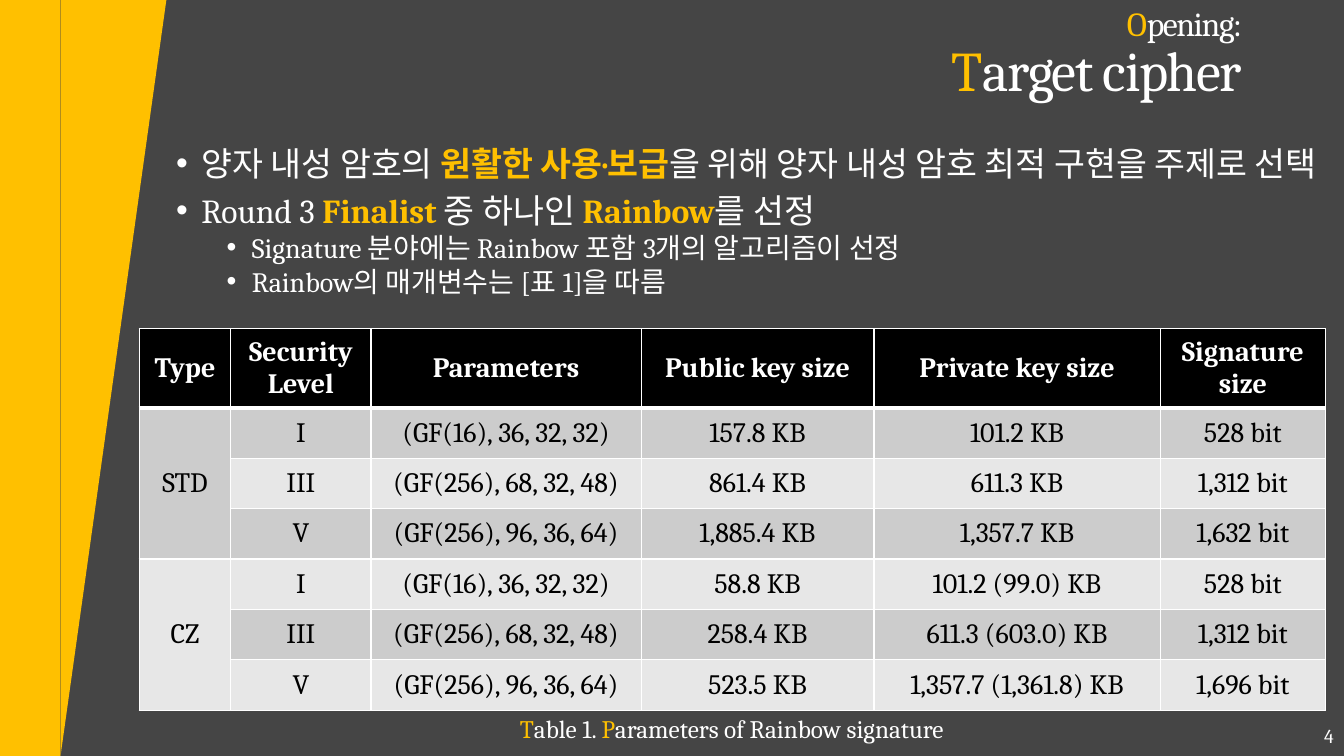
from dataclasses import dataclass

from lxml.etree import SubElement
from pptx import Presentation
from pptx.dml.color import RGBColor
from pptx.enum.shapes import MSO_SHAPE as Preset
from pptx.enum.text import MSO_ANCHOR as Anchor, PP_ALIGN as Align
from pptx.oxml.ns import qn
from pptx.util import Pt


@dataclass(frozen=True)
class Theme:
    """Colours, type sizes and font of the slide."""
    font: str = "Cambria"
    background: str = "454545"
    accent: str = "FFC000"
    light: str = "FFFFFF"
    dark: str = "000000"
    bands: tuple = ("CCCCCC", "E7E7E7")
    title: int = 40
    kicker: int = 24
    bullet: int = 24
    detail: int = 20
    cell: int = 20
    caption: int = 18
    number: int = 14


THEME = Theme()
COLUMNS = (65.5, 100.1, 193, 166.3, 204.5, 118.1)
HEADER_HEIGHT, ROW_HEIGHT = 54.7, 36
HEADINGS = ("Type", "Security Level", "Parameters", "Public key size",
            "Private key size", "Signature size")
LEVELS = (("I", "(GF(16), 36, 32, 32)"),
          ("III", "(GF(256), 68, 32, 48)"),
          ("V", "(GF(256), 96, 36, 64)"))
SIZES = {
    "STD": (("157.8 KB", "101.2 KB", "528 bit"),
            ("861.4 KB", "611.3 KB", "1,312 bit"),
            ("1,885.4 KB", "1,357.7 KB", "1,632 bit")),
    "CZ": (("58.8 KB", "101.2 (99.0) KB", "528 bit"),
           ("258.4 KB", "611.3 (603.0) KB", "1,312 bit"),
           ("523.5 KB", "1,357.7 (1,361.8) KB", "1,696 bit")),
}


def paint(fill, color):
    """Make a fill solid in the given colour."""
    fill.solid()
    fill.fore_color.rgb = RGBColor.from_string(color)


def add_run(paragraph, text, size, color=THEME.light, bold=False, spacing=None):
    """Append one styled run to a paragraph."""
    run = paragraph.add_run()
    run.text = text
    run.font.name = THEME.font
    run.font.size = Pt(size)
    run.font.bold = bold
    run.font.color.rgb = RGBColor.from_string(color)
    if spacing is not None:
        run.font._element.set("spc", str(spacing * 100))


def add_box(slide, left, top, width, height, anchor=Anchor.TOP):
    """Add a wrapping text box and return its text frame."""
    frame = slide.shapes.add_textbox(Pt(left), Pt(top), Pt(width), Pt(height)).text_frame
    frame.word_wrap = True
    frame.vertical_anchor = anchor
    return frame


def add_panel(slide, preset, left, width):
    """Add a full-height accent panel."""
    panel = slide.shapes.add_shape(preset, Pt(left), 0, Pt(width), Pt(540))
    panel.shadow.inherit = False
    paint(panel.fill, THEME.accent)
    panel.line.fill.background()
    return panel


def add_side_band(slide):
    """Add the slanted band along the left edge."""
    add_panel(slide, Preset.RECTANGLE, 0, 43.2)
    slant = add_panel(slide, Preset.RIGHT_TRIANGLE, 43.2, 75.6)
    slant.rotation = 180
    slant._element.spPr.find(qn("a:xfrm")).set("flipH", "1")


def add_title(slide):
    """Add the two-line title with accented initials."""
    title = add_box(slide, 66.2, 0, 828, 79.2, Anchor.MIDDLE).paragraphs[0]
    title.alignment = Align.RIGHT
    title.line_spacing = 0.9
    add_run(title, "O", THEME.kicker, THEME.accent, spacing=-1)
    add_run(title, "pening:", THEME.kicker, spacing=-1)
    title.add_line_break()
    add_run(title, "T", THEME.title, THEME.accent, spacing=-1)
    add_run(title, "arget cipher", THEME.title, spacing=-1)


def add_bullet(paragraph, pieces, level=0):
    """Fill a bulleted paragraph, emphasising every second piece."""
    paragraph.level = level
    paragraph.line_spacing = 0.8
    paragraph.space_before = Pt(5 if level else 10)
    properties = paragraph._p.get_or_add_pPr()
    properties.set("marL", str(Pt(54 if level else 18)))
    properties.set("indent", str(Pt(-18)))
    SubElement(properties, qn("a:buFont")).set("typeface", "Arial")
    SubElement(properties, qn("a:buChar")).set("char", "•")
    size = THEME.detail if level else THEME.bullet
    for index, text in enumerate(pieces):
        strong = index % 2 == 1
        add_run(paragraph, text, size, THEME.accent if strong else THEME.light, strong)


def add_body(slide):
    """Add the bullet list."""
    body = add_box(slide, 118.8, 104.4, 841, 382.3)
    bullets = (
        (("양자 내성 암호의 ", "원활한 사용·보급",
          "을 위해 양자 내성 암호 최적 구현을 주제로 선택"), 0),
        (("Round 3 ", "Finalist", " 중 하나인 ", "Rainbow", "를 선정"), 0),
        (("Signature 분야에는 Rainbow 포함 3개의 알고리즘이 선정",), 1),
        (("Rainbow의 매개변수는 [표 1]을 따름",), 1),
    )
    for index, (pieces, level) in enumerate(bullets):
        paragraph = body.add_paragraph() if index else body.paragraphs[0]
        add_bullet(paragraph, pieces, level)


def style_cell(cell, text, fill, header=False):
    """Write a centred cell with white borders."""
    cell.vertical_anchor = Anchor.MIDDLE
    cell.margin_left = cell.margin_right = Pt(8.6)
    cell.margin_top = cell.margin_bottom = Pt(4.3)
    paragraph = cell.text_frame.paragraphs[0]
    paragraph.alignment = Align.CENTER
    if text:
        add_run(paragraph, text, THEME.cell, THEME.light if header else THEME.dark, header)
    properties = cell._tc.get_or_add_tcPr()
    for side in ("lnL", "lnR", "lnT", "lnB"):
        width = 3 if header and side == "lnB" else 1
        border = SubElement(properties, qn(f"a:{side}"), w=str(Pt(width)))
        color = SubElement(SubElement(border, qn("a:solidFill")), qn("a:srgbClr"))
        color.set("val", THEME.light)
    paint(cell.fill, fill)


def add_parameter_table(slide):
    """Add the parameter table with one merged type cell per group."""
    rows = [(kind if not index else "", *level, *sizes)
            for kind, group in SIZES.items()
            for index, (level, sizes) in enumerate(zip(LEVELS, group))]
    height = HEADER_HEIGHT + ROW_HEIGHT * len(rows)
    table = slide.shapes.add_table(len(rows) + 1, len(COLUMNS), Pt(99.4), Pt(234.7),
                                   Pt(sum(COLUMNS)), Pt(height)).table
    for column, width in zip(table.columns, COLUMNS):
        column.width = Pt(width)
    for index, row in enumerate(table.rows):
        row.height = Pt(ROW_HEIGHT if index else HEADER_HEIGHT)
    for column, heading in enumerate(HEADINGS):
        style_cell(table.cell(0, column), heading, THEME.dark, header=True)
    for index, values in enumerate(rows):
        for column, value in enumerate(values):
            style_cell(table.cell(index + 1, column), value, THEME.bands[index % 2])
    for first in range(1, len(rows) + 1, len(LEVELS)):
        table.cell(first, 0).merge(table.cell(first + len(LEVELS) - 1, 0))


def add_caption(slide):
    """Add the table caption."""
    caption = add_box(slide, 355, 506.2, 335.5, 28.8).paragraphs[0]
    caption.alignment = Align.CENTER
    add_run(caption, "T", THEME.caption, THEME.accent)
    add_run(caption, "able 1. ", THEME.caption)
    add_run(caption, "P", THEME.caption, THEME.accent)
    add_run(caption, "arameters of Rainbow signature", THEME.caption)


def add_page_number(slide):
    """Add the page number at the lower right."""
    number = add_box(slide, 743.8, 511.2, 216, 28.8, Anchor.MIDDLE).paragraphs[0]
    number.alignment = Align.RIGHT
    add_run(number, "4", THEME.number)


def main():
    """Build and save the slide."""
    deck = Presentation()
    deck.slide_width, deck.slide_height = Pt(960), Pt(540)
    slide = deck.slides.add_slide(deck.slide_layouts[6])
    paint(slide.background.fill, THEME.background)
    add_side_band(slide)
    add_title(slide)
    add_body(slide)
    add_parameter_table(slide)
    add_caption(slide)
    add_page_number(slide)
    deck.save("out.pptx")


if __name__ == "__main__":
    main()
